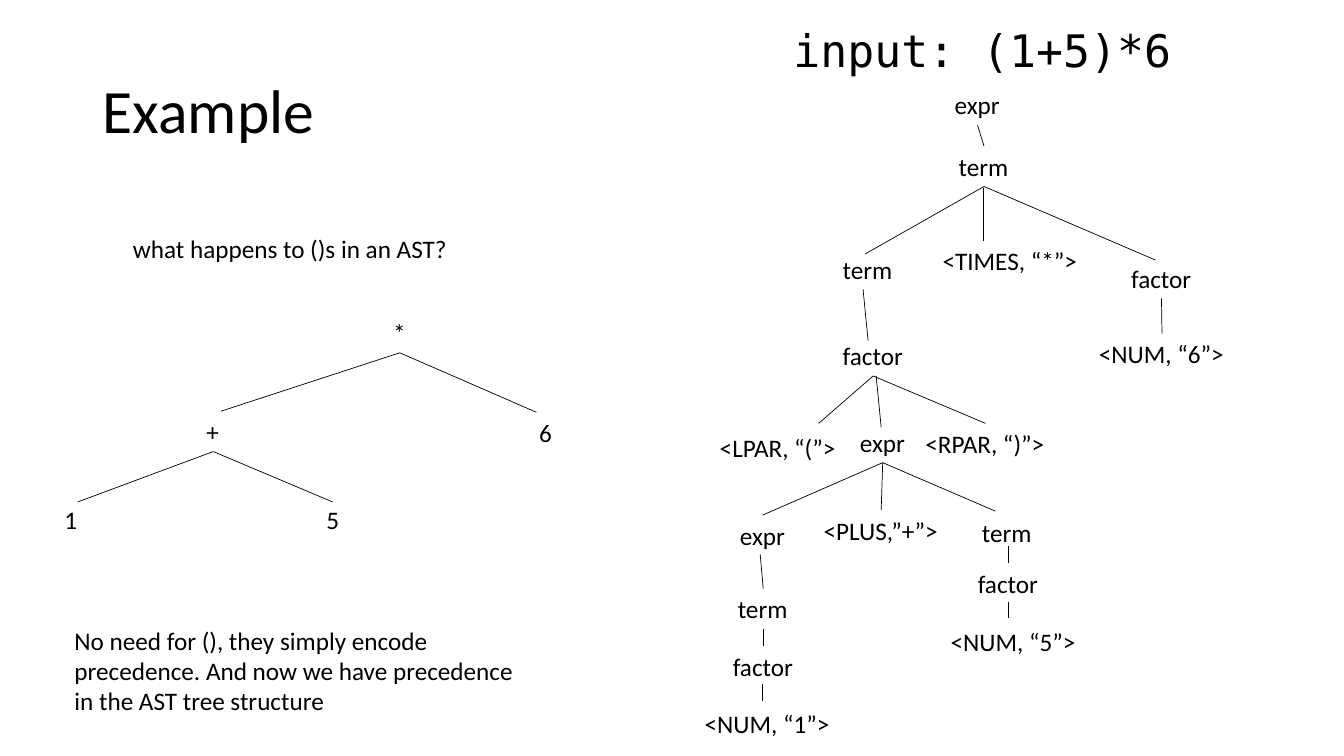
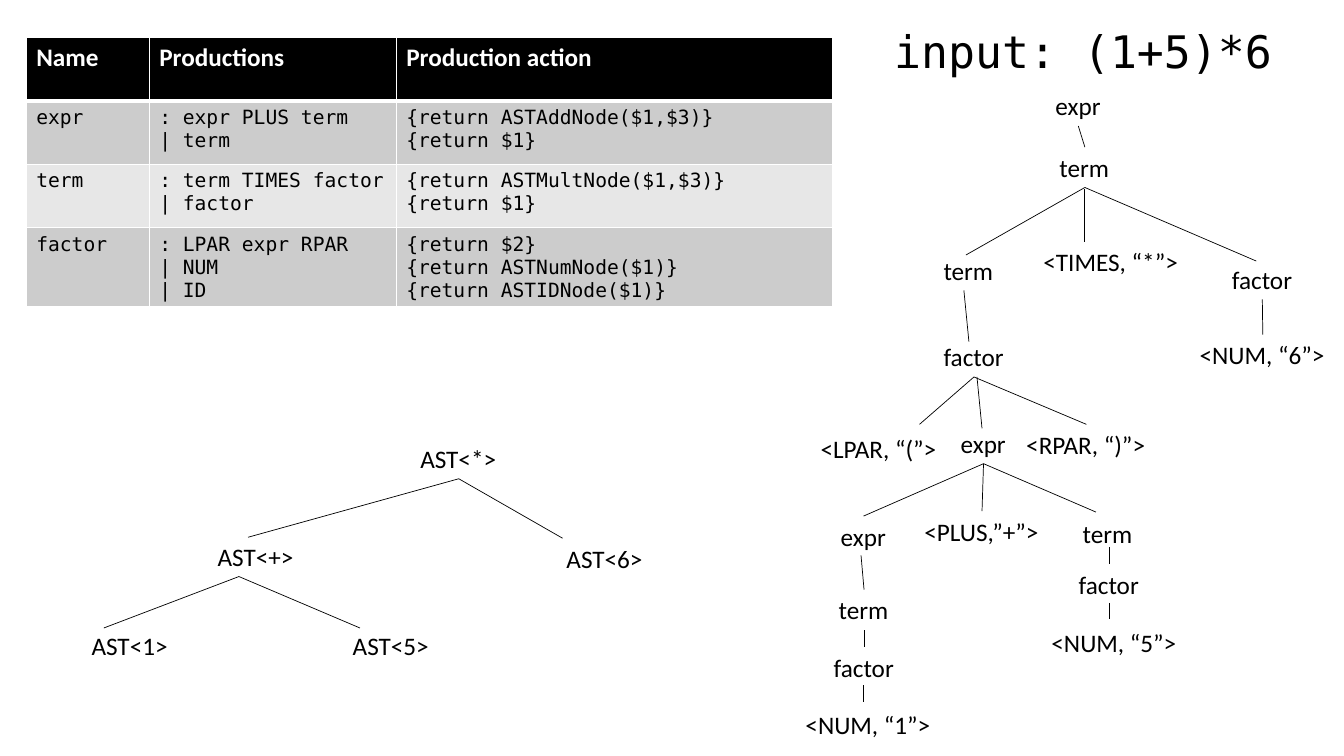
from lxml.etree import SubElement
from pptx import Presentation
from pptx.dml.color import RGBColor
from pptx.enum.shapes import MSO_CONNECTOR as Connector
from pptx.enum.text import MSO_ANCHOR as Anchor, MSO_AUTO_SIZE as AutoSize
from pptx.oxml.ns import qn
from pptx.util import Inches, Pt

COLORS = {"ink": "000000", "paper": "FFFFFF", "odd": "CCCCCC", "even": "E7E7E7"}
SANS, MONO = "Calibri", "DejaVu Sans Mono"
BOTTOM, TOP = 2, 0

# Parse tree nodes: text, left, top, width and, where needed, wrapping
PARSE_NODES = {
    "root": ("expr", 9.37, 0.84, 0.65),
    "product": ("term", 9.41, 1.45, 0.7),
    "left term": ("term", 8.26, 2.47, 0.7),
    "times": ("<TIMES, “*”>", 9.25, 2.38, 1.55),
    "right factor": ("factor", 11.12, 2.56, 0.8),
    "six": ("<NUM, “6”>", 10.8, 3.31, 1.45),
    "group": ("factor", 8.26, 3.33, 0.8),
    "lpar": ("<LPAR, “(”>", 7.04, 4.24, 1.36),
    "sum": ("expr", 8.43, 4.19, 0.65),
    "rpar": ("<RPAR, “)”>", 9.08, 4.2, 1.39),
    "one expr": ("expr", 7.24, 5.11, 0.65),
    "plus": ("<PLUS,”+”>", 8.07, 5.06, 1.34),
    "five term": ("term", 9.64, 5.08, 1.1, True),
    "one term": ("term", 7.22, 5.84, 0.7),
    "one factor": ("factor", 7.17, 6.41, 0.8),
    "one": ("<NUM, “1”>", 6.89, 6.98, 1.45),
    "five factor": ("factor", 9.6, 5.59, 0.8),
    "five": ("<NUM, “5”>", 9.33, 6.16, 1.45),
}

# An edge end is a node to join or a free point
PARSE_EDGES = [
    ("root", "product"),
    ("product", (8.58, 2.52)),
    ((9.75, 1.87), (9.75, 2.39)),
    ("product", (11.46, 2.58)),
    ("right factor", "six"),
    ((8.56, 2.87), (8.61, 3.38)),
    ("group", (8.12, 4.2)),
    ((8.69, 3.73), (8.74, 4.24)),
    ("group", "rpar"),
    ("sum", "one expr"),
    ("sum", "plus"),
    ("sum", (9.87, 5.07)),
    ((7.54, 5.5), "one term"),
    ("one term", "one factor"),
    ((7.56, 6.79), (7.56, 6.95)),
    ((10, 5.42), "five factor"),
    ((10, 5.97), (10, 6.13)),
]

# Syntax trees
PLAIN_NODES = {
    "times": ("*", 3.8, 3.1, 0.33),
    "plus": ("+", 1.95, 4.08, 0.33),
    "six": ("6", 5.25, 4.09, 0.33),
    "one": ("1", 0.54, 4.95, 0.33),
    "five": ("5", 3.14, 4.95, 0.33),
}
PLAIN_EDGES = [
    ("times", (2.19, 4.08)),
    ("times", (5.32, 4.09)),
    ("plus", (0.77, 4.98)),
    ("plus", (3.3, 4.98)),
]
AST_NODES = {
    "times": ("AST<*>", 4.07, 4.35, 0.96),
    "plus": ("AST<+>", 2.06, 5.32, 0.96),
    "six": ("AST<6>", 5.52, 5.34, 0.96),
    "one": ("AST<1>", 0.81, 6.2, 0.96),
    "five": ("AST<5>", 3.4, 6.2, 0.96),
}
AST_EDGES = [
    ("times", (2.46, 5.33)),
    ("times", (5.58, 5.34)),
    ((2.37, 5.72), (1.03, 6.23)),
    ((2.37, 5.72), (3.57, 6.23)),
]

# Grammar: \n starts a paragraph, \v breaks a line
GRAMMAR = [
    ("Name", "Productions", "Production action"),
    ("expr", ": expr PLUS term\v| term",
     "{return ASTAddNode($1,$3)}\n{return $1}"),
    ("term", ": term TIMES factor\v| factor",
     "{return ASTMultNode($1,$3)}\n{return $1}"),
    ("factor", ": LPAR expr RPAR\v| NUM\n| ID",
     "{return $2}\n{return ASTNumNode($1)}\n{return ASTIDNode($1)}"),
]


def color(name):
    return RGBColor.from_string(COLORS[name])


class Painter:
    def __init__(self, deck):
        self.deck = deck
        self.page = None

    def new_page(self):
        self.page = self.deck.slides.add_slide(self.deck.slide_layouts[6])

    def style(self, frame, size, font=SANS, ink="ink", bold=False):
        for para in frame.paragraphs:
            para.font.size = Pt(size)
            para.font.name = font
            para.font.bold = bold
            para.font.color.rgb = color(ink)

    def label(self, text, left, top, width, wrap=False, height=0.4, size=18, font=SANS):
        box = self.page.shapes.add_textbox(
            Inches(left), Inches(top), Inches(width), Inches(height))
        frame = box.text_frame
        frame.text = text
        frame.word_wrap = wrap
        frame.auto_size = AutoSize.SHAPE_TO_FIT_TEXT
        self.style(frame, size, font)
        return box

    def title(self, text):
        frame = self.label(text, 0.92, 0.4, 11.5, True, 1.45, 44).text_frame
        frame.auto_size = AutoSize.NONE
        frame.vertical_anchor = Anchor.MIDDLE
        frame.paragraphs[0].line_spacing = 0.9

    def edge(self, start, end):
        line = self.page.shapes.add_connector(
            Connector.STRAIGHT, *(Inches(value) for value in (*start, *end)))
        line.line.color.rgb = color("ink")
        line.line.width = Pt(0.5)
        SubElement(line._element.spPr, qn("a:effectLst"))
        return line

    def tree(self, nodes, edges, dx=0, dy=0):
        boxes = {name: self.label(text, left + dx, top + dy, *rest)
                 for name, (text, left, top, *rest) in nodes.items()}

        def point(place):
            return (0, 0) if place in boxes else (place[0] + dx, place[1] + dy)

        for start, end in edges:
            line = self.edge(point(start), point(end))
            if start in boxes:
                line.begin_connect(boxes[start], BOTTOM)
            if end in boxes:
                line.end_connect(boxes[end], TOP)

    def parse_tree(self, dx=0, dy=0):
        self.label("input: (1+5)*6", 7.77 + dx, 0.18 + dy, 3.98,
                   height=0.64, size=32, font=MONO)
        self.tree(PARSE_NODES, PARSE_EDGES, dx, dy)

    def borders(self, cell, top, bottom):
        props = cell._tc.get_or_add_tcPr()
        for side, width in (("L", 1), ("R", 1), ("T", top), ("B", bottom)):
            line = SubElement(props, qn(f"a:ln{side}"), w=str(Pt(width)))
            fill = SubElement(line, qn("a:solidFill"))
            SubElement(fill, qn("a:srgbClr"), val=COLORS["paper"])

    def table(self, rows, left, top, widths, row_height):
        table = self.page.shapes.add_table(
            len(rows), len(widths), Inches(left), Inches(top),
            Inches(sum(widths)), Inches(row_height * len(rows))).table
        for column, width in zip(table.columns, widths):
            column.width = Inches(width)
        for row, texts in enumerate(rows):
            for column, text in enumerate(texts):
                cell = table.cell(row, column)
                cell.text = text
                self.borders(cell, 3 if row == 1 else 1, 3 if row == 0 else 1)
                cell.fill.solid()
                if row == 0:
                    cell.fill.fore_color.rgb = color("ink")
                    self.style(cell.text_frame, 18, ink="paper", bold=True)
                else:
                    cell.fill.fore_color.rgb = color("odd" if row % 2 else "even")
                    self.style(cell.text_frame, 14, MONO)


def main():
    deck = Presentation()
    deck.slide_width, deck.slide_height = Inches(13.33), Inches(7.5)
    painter = Painter(deck)

    # Parentheses in a syntax tree
    painter.new_page()
    painter.title("Example")
    painter.parse_tree()
    painter.label("what happens to ()s in an AST?", 1.22, 2.27, 3.36)
    painter.tree(PLAIN_NODES, PLAIN_EDGES)
    painter.label("No need for (), they simply encode\vprecedence. And now we have "
                  "precedence\vin the AST tree structure", 0.64, 6.15, 4.61, height=1.01)

    # Grammar with actions
    painter.new_page()
    painter.table(GRAMMAR, 0.26, 0.37, (1.22, 2.45, 4.33), 0.63)
    painter.parse_tree(1, 0.01)
    painter.tree(AST_NODES, AST_EDGES)

    deck.save("out.pptx")


if __name__ == "__main__":
    main()
